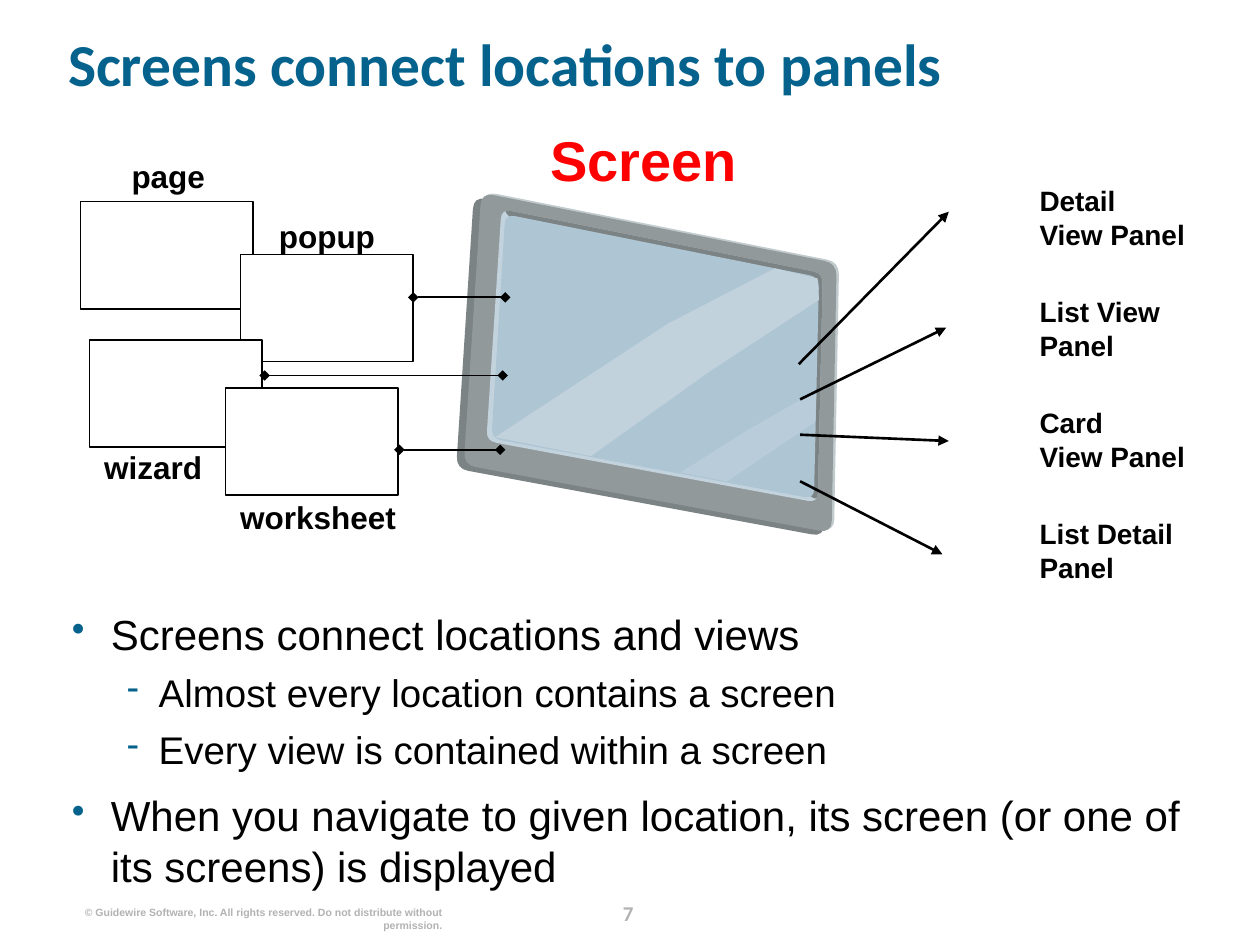
from dataclasses import dataclass
from math import dist

from lxml import etree
from pptx import Presentation
from pptx.dml.color import RGBColor
from pptx.enum.shapes import MSO_CONNECTOR, MSO_SHAPE
from pptx.enum.text import MSO_ANCHOR, MSO_AUTO_SIZE, PP_ALIGN
from pptx.oxml.ns import qn
from pptx.util import Inches, Pt

LEFT, CENTER, RIGHT = PP_ALIGN.LEFT, PP_ALIGN.CENTER, PP_ALIGN.RIGHT
STRAIGHT, RECTANGLE = MSO_CONNECTOR.STRAIGHT, MSO_SHAPE.RECTANGLE

COLORS = {
    "title": "04628C", "text": "000000", "accent": "FF0000", "footer": "B2B2B2",
    "box": "FFFFFF", "edge": "7C8384", "frame": "92999B", "rim": "C1CBCD",
    "glass": "AEC5D4", "wide_glare": "C1D2DD", "small_glare": "B9CCD9",
    "bevel": "C3D3DE",
}

Point = tuple[float, float]


@dataclass
class Label:
    text: str
    left: float
    top: float
    width: float
    height: float
    size: float
    align: PP_ALIGN = CENTER
    color: str = "text"
    font: str = "Arial"


@dataclass
class Link:
    start: Point
    end: Point
    width: float
    head: str | None
    tail: str


@dataclass
class Level:
    size: int
    mark: str
    margin: float
    hanging: float
    before: int


# Corners run top left, top right, bottom right, bottom left
FRAME = [(3.84, 1.52), (6.66, 2.08), (6.62, 4.22), (3.7, 3.68)]
GLASS = [(3.98, 1.66), (6.53, 2.17), (6.49, 3.99), (3.86, 3.5)]
INNER_GLASS = [(4.01, 1.7), (6.5, 2.2), (6.46, 3.96), (3.9, 3.48)]
WIDE_GLARE = [(6.5, 2.38), (6.49, 2.21), (6.15, 2.13), (5.3, 2.57), (3.93, 3.47),
              (4.69, 3.62), (5.63, 2.95)]
SMALL_GLARE = [(6.47, 3.35), (6.48, 3.1), (5.94, 3.41), (5.4, 3.75), (5.77, 3.82)]

LOCATION_BOXES = [(0.64, 1.6), (1.91, 2.02), (0.71, 2.7), (1.79, 3.08)]
LOCATION_NAMES = [("page", 0.64, 1.25), ("popup", 1.9, 1.72),
                  ("wizard", 0.52, 3.56), ("worksheet", 1.83, 3.95)]
PANEL_NAMES = ["Detail\vView Panel", "List View Panel",
               "Card\vView Panel", "List Detail Panel"]
PANEL_TOP, PANEL_STEP = 1.46, 0.88

LABELS = [
    *[Label(name, x, y, 1.39, 0.3, 18) for name, x, y in LOCATION_NAMES],
    Label("Screen", 4.31, 1, 1.6, 0.53, 32, color="accent"),
    *[Label(name, 8.25, PANEL_TOP + i * PANEL_STEP, 1.42, 0.54, 16, LEFT)
      for i, name in enumerate(PANEL_NAMES)],
    Label("7", 4.7, 7.15, 0.57, 0.25, 12, color="footer", font="Calibri"),
    Label("© Guidewire Software, Inc. All rights reserved. Do not distribute "
          "without permission.", 0.61, 7.19, 2.9, 0.2, 6, RIGHT, "footer"),
]

LINKS = [
    *[Link((x1, y), (x2, y), 1, "diamond", "diamond")
      for x1, x2, y in [(3.28, 4.01, 2.36), (2.1, 3.99, 2.98), (3.17, 3.97, 3.57)]],
    *[Link(start, end, 1.5, None, "triangle")
      for start, end in [((6.34, 2.89), (7.53, 1.68)), ((6.35, 3.17), (7.51, 2.6)),
                         ((6.35, 3.45), (7.53, 3.5)), ((6.35, 3.82), (7.48, 4.4))]],
]

MAIN = Level(24, "•", 0.31, 0.31, 10)
SUB = Level(22, "-", 0.69, 0.25, 6)
BULLETS = [
    (MAIN, "Screens connect locations and views"),
    (SUB, "Almost every location contains a screen"),
    (SUB, "Every view is contained within a screen"),
    (MAIN, "When you navigate to given location, its screen (or one of its screens) "
           "is displayed"),
]


def rgb(name: str) -> RGBColor:
    return RGBColor.from_string(COLORS[name])


def toward(a: Point, b: Point, share: float) -> Point:
    return a[0] + (b[0] - a[0]) * share, a[1] + (b[1] - a[1]) * share


def rounded(corners: list[Point], radius: float) -> list[Point]:
    """Replace each corner by a short curve of five points."""
    points = []
    for i, corner in enumerate(corners):
        before, after = corners[i - 1], corners[(i + 1) % len(corners)]
        start = toward(corner, before, radius / dist(corner, before))
        end = toward(corner, after, radius / dist(corner, after))
        for step in range(5):
            t = step / 4
            points.append(toward(toward(start, corner, t), toward(corner, end, t), t))
    return points


def shifted(points: list[Point], dx: float, dy: float) -> list[Point]:
    return [(x + dx, y + dy) for x, y in points]


def place(sp, left: float, top: float, width: float, height: float) -> None:
    sp.left, sp.top = Inches(left), Inches(top)
    sp.width, sp.height = Inches(width), Inches(height)


def clear_frame(tf) -> None:
    """Wrap the text and drop the margins and the autofit."""
    tf.word_wrap = True
    tf.auto_size = MSO_AUTO_SIZE.NONE
    tf.margin_left = tf.margin_top = tf.margin_right = tf.margin_bottom = 0


def style(p, size: float, color: str, font: str, bold: bool) -> None:
    for r in p.runs:
        r.font.size, r.font.name, r.font.bold = Pt(size), font, bold
        r.font.color.rgb = rgb(color)


def add_title(slide, text: str) -> None:
    sp = slide.shapes.title
    place(sp, 0.54, 0.13, 9.1, 0.81)
    tf = sp.text_frame
    clear_frame(tf)
    tf.vertical_anchor = MSO_ANCHOR.MIDDLE
    tf.text = text
    p = tf.paragraphs[0]
    p.alignment, p.line_spacing = LEFT, 0.9
    style(p, 34, "title", "Calibri", True)


def add_layer(slide, color: str, points: list[Point]) -> None:
    start, *rest = [(Inches(x), Inches(y)) for x, y in points]
    builder = slide.shapes.build_freeform(*start)
    builder.add_line_segments(rest, close=True)
    sp = builder.convert_to_shape()
    sp.shadow.inherit = False
    sp.fill.solid()
    sp.fill.fore_color.rgb = rgb(color)
    sp.line.fill.background()


def add_tablet(slide) -> None:
    frame = rounded(FRAME, 0.1)
    add_layer(slide, "edge", shifted(frame, -0.08, 0.04))
    add_layer(slide, "rim", frame)
    add_layer(slide, "frame", shifted(frame, -0.02, 0.01))
    add_layer(slide, "bevel", rounded(GLASS, 0.08))
    add_layer(slide, "edge", rounded(GLASS[:3], 0.08))
    add_layer(slide, "glass", rounded(INNER_GLASS, 0.08))
    add_layer(slide, "wide_glare", WIDE_GLARE)
    add_layer(slide, "small_glare", SMALL_GLARE)


def add_location_box(slide, left: float, top: float) -> None:
    sp = slide.shapes.add_shape(RECTANGLE, Inches(left), Inches(top),
                                Inches(1.37), Inches(0.85))
    sp.shadow.inherit = False
    sp.fill.solid()
    sp.fill.fore_color.rgb = rgb("box")
    sp.line.color.rgb, sp.line.width = rgb("text"), Pt(1)


def add_label(slide, label: Label) -> None:
    sp = slide.shapes.add_textbox(0, 0, 0, 0)
    place(sp, label.left, label.top, label.width, label.height)
    clear_frame(sp.text_frame)
    p = sp.text_frame.paragraphs[0]
    p.text, p.alignment = label.text, label.align
    style(p, label.size, label.color, label.font, True)


def add_link(slide, link: Link) -> None:
    x1, y1, x2, y2 = [Inches(v) for v in (*link.start, *link.end)]
    sp = slide.shapes.add_connector(STRAIGHT, x1, y1, x2, y2)
    sp.line.color.rgb, sp.line.width = rgb("text"), Pt(link.width)
    ln = sp.line._get_or_add_ln()
    for end, kind in (("a:headEnd", link.head), ("a:tailEnd", link.tail)):
        if kind:
            etree.SubElement(ln, qn(end), type=kind)
    etree.SubElement(sp._element.spPr, qn("a:effectLst"))


def add_bullets(slide, bullets: list[tuple[Level, str]]) -> None:
    sp = slide.shapes.add_textbox(0, 0, 0, 0)
    place(sp, 0.57, 4.83, 9.1, 2.19)
    tf = sp.text_frame
    clear_frame(tf)
    for i, (level, text) in enumerate(bullets):
        p = tf.add_paragraph() if i else tf.paragraphs[0]
        p.text, p.space_before = text, Pt(level.before if i else 0)
        pPr = p._p.get_or_add_pPr()
        pPr.set("marL", str(Inches(level.margin)))
        pPr.set("indent", str(-Inches(level.hanging)))
        color = etree.SubElement(pPr, qn("a:buClr"))
        etree.SubElement(color, qn("a:srgbClr"), val=COLORS["title"])
        etree.SubElement(pPr, qn("a:buSzPct"), val="90000")
        etree.SubElement(pPr, qn("a:buChar"), char=level.mark)
        style(p, level.size, "text", "Arial", False)


prs = Presentation()
prs.slide_width, prs.slide_height = Inches(10), Inches(7.5)
slide = prs.slides.add_slide(prs.slide_layouts[5])
add_title(slide, "Screens connect locations to panels")
add_tablet(slide)
add_bullets(slide, BULLETS)
for left, top in LOCATION_BOXES:
    add_location_box(slide, left, top)
for label in LABELS:
    add_label(slide, label)
for link in LINKS:
    add_link(slide, link)
prs.save("out.pptx")
